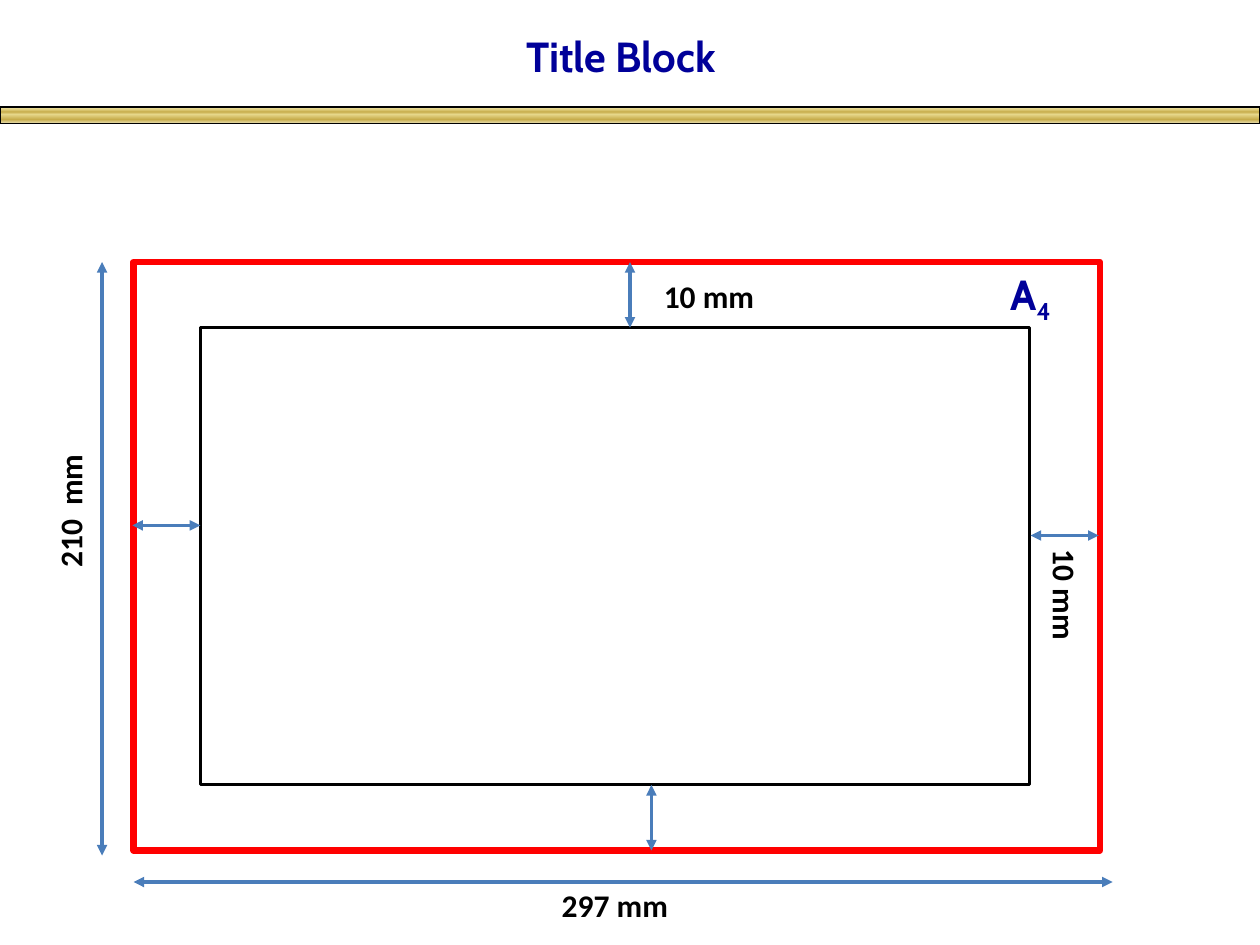
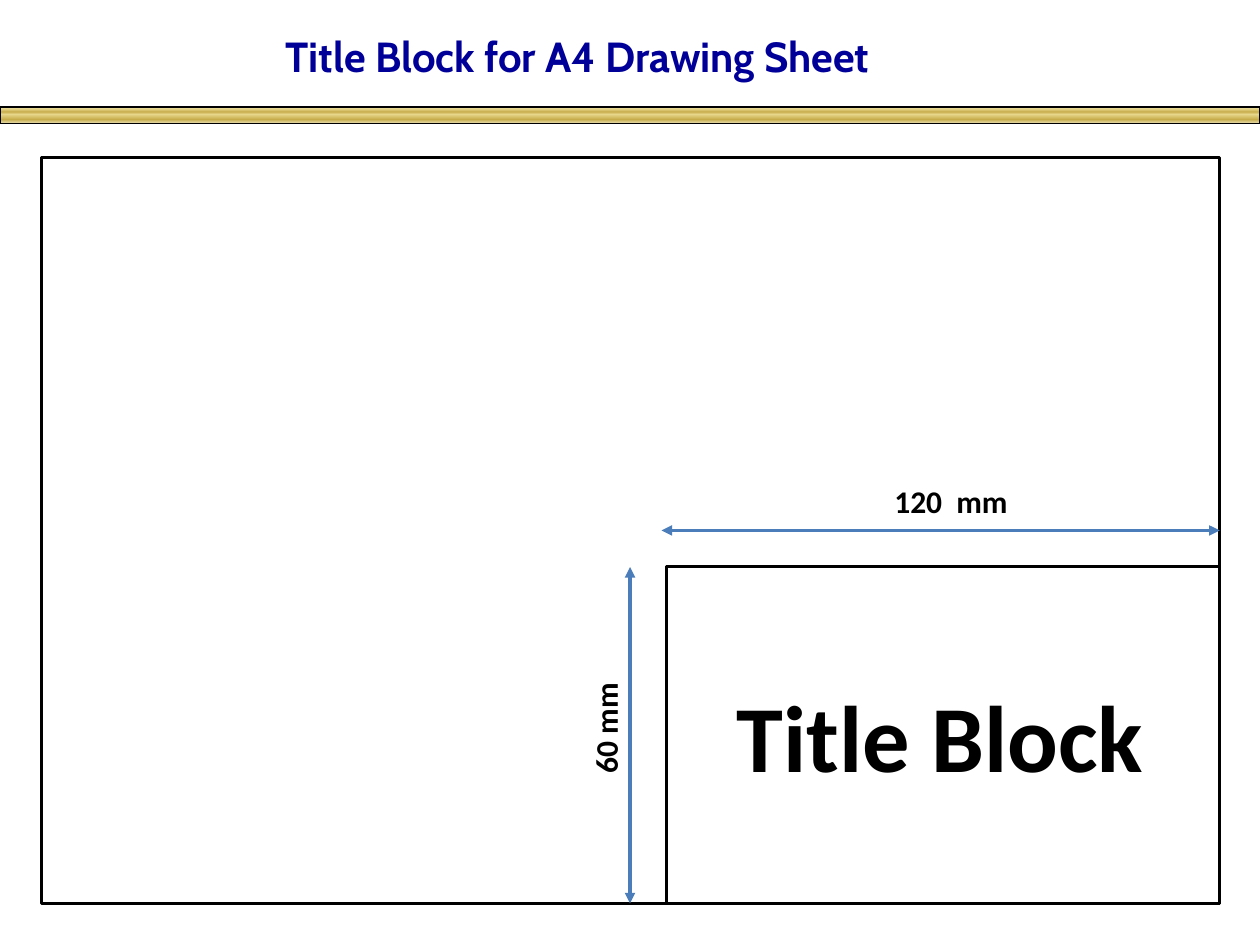
from lxml.etree import SubElement
from pptx import Presentation
from pptx.dml.color import RGBColor
from pptx.enum.shapes import MSO_CONNECTOR, MSO_SHAPE
from pptx.enum.text import MSO_AUTO_SIZE
from pptx.oxml.ns import qn
from pptx.util import Inches, Pt

COLORS = {"title": "000099", "ink": "000000", "sheet": "FF0000", "arrow": "4A7DBA",
          "pale": "E6DCAC", "light": "E6D78A", "gold": "C7AC4C"}
BAND_STOPS = [(0, "pale"), (12, "light"), (30, "gold"), (45, "light"), (77, "gold"), (100, "pale")]
HEADING = {"name": "Cabin", "size": Pt(24), "bold": True}
LABEL = {"name": "Calibri", "size": Pt(18), "bold": True}
BIG = {**LABEL, "size": Pt(54)}


def add_rect(s, box, color, width):
    sp = s.shapes.add_shape(MSO_SHAPE.RECTANGLE, *map(Inches, box))
    sp.shadow.inherit = False
    sp.fill.background()
    sp.line.color.rgb = RGBColor.from_string(COLORS[color])
    sp.line.width = Pt(width)
    return sp


def add_text(s, box, text, style, color="ink", rotation=0, subscript=""):
    sp = s.shapes.add_textbox(*map(Inches, box))
    sp.rotation = rotation
    tf = sp.text_frame
    tf.word_wrap = style is HEADING
    tf.auto_size = MSO_AUTO_SIZE.NONE if style is HEADING else MSO_AUTO_SIZE.SHAPE_TO_FIT_TEXT
    p = tf.paragraphs[0]
    for part in filter(None, (text, subscript)):
        r = p.add_run()
        r.text = part
        for key, value in style.items():
            setattr(r.font, key, value)
        r.font.color.rgb = RGBColor.from_string(COLORS[color])
    if subscript:
        r.font._element.set("baseline", "-25000")


# Edges of the sheet, its drawing frame and the title block: left, top, width, height
sheet = (1.06, 2.08, 7.67, 4.67)
frame = (1.59, 2.6, 6.58, 3.63)
large_frame = (0.33, 1.25, 9.35, 5.92)
title_block = (5.29, 4.5, 4.39, 2.67)

slides = [
    {"title": ("Title Block", 4.08, 2.17),
     "rects": [(sheet, "sheet", 3.75), (frame, "ink", 1.75)],
     "arrows": [(1.06, 7, 8.83, 7), (0.81, 6.79, 0.81, 2.08),
                (5, 2.6, 5, 2.08), (5.17, 6.75, 5.17, 6.23),
                (8.72, 4.25, 8.18, 4.25), (1.59, 4.17, 1.05, 4.17)],
     "texts": [((4.36, 6.98, 1.05, 0.4), "297 mm", LABEL),
               ((-0.03, 3.82, 1.17, 0.4), "210  mm", LABEL, "ink", 270),
               ((5.17, 2.15, 0.93, 0.4), "10 mm", LABEL),
               ((7.99, 4.53, 0.93, 0.4), "10 mm", LABEL, "ink", 90),
               ((7.92, 2.08, 0.8, 0.5), "A", HEADING, "title", 0, "4")]},
    {"title": ("Title Block for A4 Drawing Sheet", 2.17, 6.33),
     "rects": [(large_frame, "ink", 1.75), (title_block, "ink", 1.75)],
     "arrows": [(9.68, 4.21, 5.25, 4.21), (5, 7.17, 5, 4.5)],
     "texts": [((5.75, 5.33, 3.46, 1.01), "Title Block", BIG),
               ((7, 3.78, 1.17, 0.4), "120  mm", LABEL),
               ((4.34, 5.57, 0.93, 0.4), "60 mm", LABEL, "ink", 270)]},
]

prs = Presentation()
prs.slide_width, prs.slide_height = Inches(10), Inches(7.5)

for content in slides:
    s = prs.slides.add_slide(prs.slide_layouts[6])

    # Gold band
    band = add_rect(s, (0, 0.85, 10, 0.13), "ink", 0.75)
    band.fill.gradient()
    band.fill.gradient_angle = 270
    stops = band._element.spPr.find(qn("a:gradFill")).find(qn("a:gsLst"))
    for stop in list(stops):
        stops.remove(stop)
    for percent, color in BAND_STOPS:
        stop = SubElement(stops, qn("a:gs"), pos=str(percent * 1000))
        SubElement(stop, qn("a:srgbClr"), val=COLORS[color])

    # Title
    title, left, width = content["title"]
    add_text(s, (left, 0.19, width, 0.5), title, HEADING, "title")

    # Outlines
    for rect in content["rects"]:
        add_rect(s, *rect)

    # Dimension arrows
    for ends in content["arrows"]:
        arrow = s.shapes.add_connector(MSO_CONNECTOR.STRAIGHT, *map(Inches, ends))
        arrow.line.color.rgb = RGBColor.from_string(COLORS["arrow"])
        arrow.line.width = Pt(2)
        for end in ("a:headEnd", "a:tailEnd"):
            SubElement(arrow.line._get_or_add_ln(), qn(end), type="triangle")
        SubElement(arrow._element.spPr, qn("a:effectLst"))

    # Labels
    for label in content["texts"]:
        add_text(s, *label)

prs.save("out.pptx")
